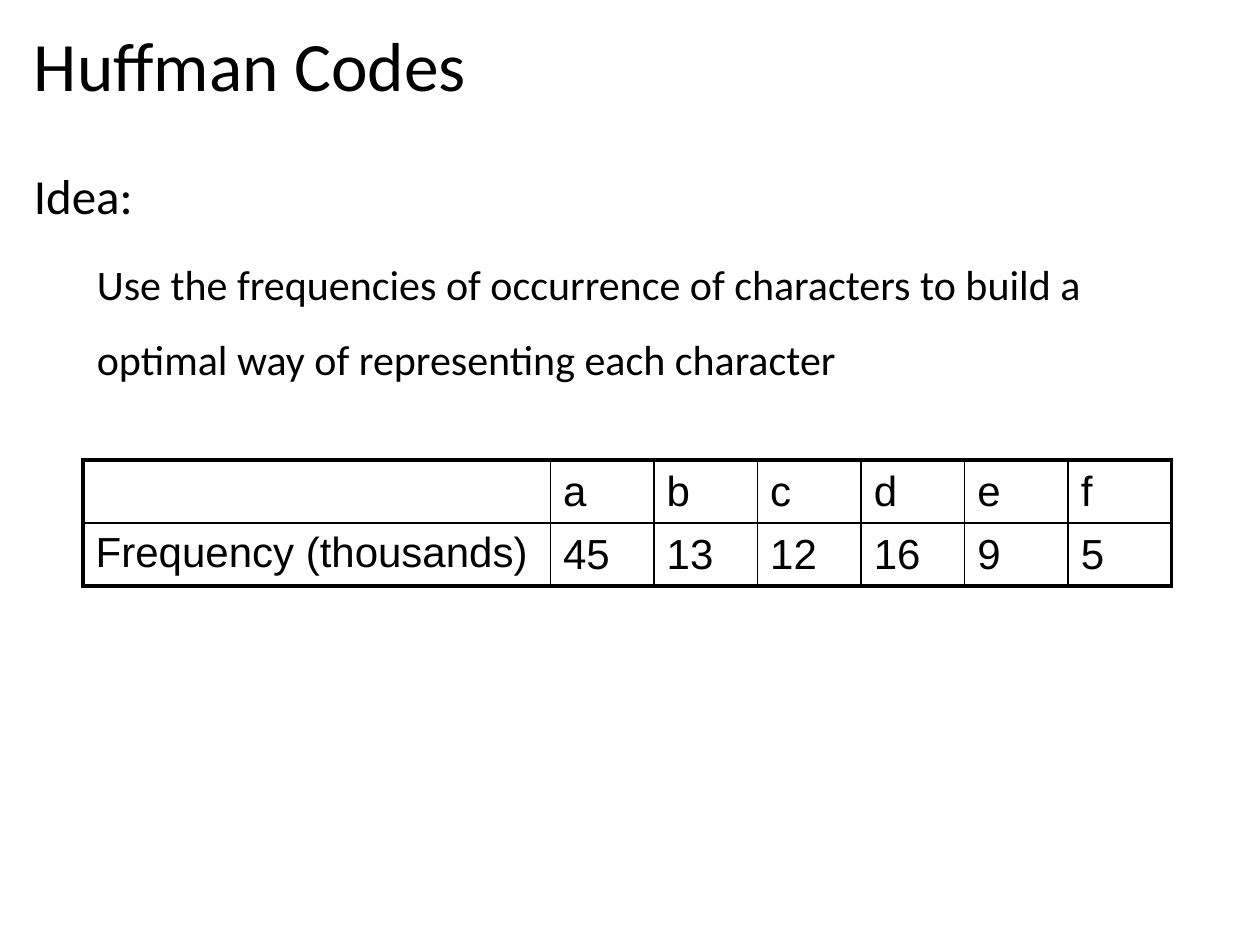
import dataclasses

import lxml.etree
import pptx
import pptx.dml.color
import pptx.enum.text
import pptx.oxml.ns
import pptx.util

Inches = pptx.util.Inches
Pt = pptx.util.Pt
Anchor = pptx.enum.text.MSO_ANCHOR


@dataclasses.dataclass(frozen=True)
class Theme:
    ink: str = "000000"
    paper: str = "FFFFFF"
    text_font: str = "Calibri"
    table_font: str = "Arial"
    title_size: float = 39.6
    lead_size: float = 28
    detail_size: float = 24
    inner_line: float = 1
    outer_line: float = 2.25


THEME = Theme()
FREQUENCIES = {"a": 45, "b": 13, "c": 12, "d": 16, "e": 9, "f": 5}


def write(para, text, *, size, font=THEME.text_font, color=THEME.ink,
          line_spacing=None, before=None, indent=None):
    """Put formatted text into a paragraph."""
    span = para.add_run()
    span.text = text
    span.font.size = Pt(size)
    span.font.name = font
    span.font.color.rgb = pptx.dml.color.RGBColor.from_string(color)
    if line_spacing is not None:
        para.line_spacing = line_spacing
    if before is not None:
        para.space_before = Pt(before)
    if indent is not None:
        properties = para._p.get_or_add_pPr()
        properties.set("marL", str(Inches(indent)))
        properties.set("indent", "0")


def add_text_frame(page, box, anchor):
    frame = page.shapes.add_textbox(*map(Inches, box)).text_frame
    frame.word_wrap = True
    frame.vertical_anchor = anchor
    return frame


def add_title(page, box):
    frame = add_text_frame(page, box, Anchor.MIDDLE)
    write(frame.paragraphs[0], "Huffman Codes", size=THEME.title_size, line_spacing=0.9)


def add_idea(page, box):
    frame = add_text_frame(page, box, Anchor.TOP)
    write(frame.paragraphs[0], "Idea:", size=THEME.lead_size, line_spacing=1.5, before=10)
    detail = frame.add_paragraph()
    detail.level = 1
    write(detail, "Use the frequencies of occurrence of characters to build a "
          "optimal way of representing each character",
          size=THEME.detail_size, line_spacing=1.5, before=5, indent=0.5)


def set_borders(cell, widths):
    """Draw the cell's left, right, top and bottom lines, widths in points."""
    properties = cell._tc.get_or_add_tcPr()
    qn = pptx.oxml.ns.qn
    for position, (side, width) in enumerate(zip("LRTB", widths)):
        line = lxml.etree.Element(qn(f"a:ln{side}"), w=str(Pt(width)))
        fill = lxml.etree.SubElement(line, qn("a:solidFill"))
        lxml.etree.SubElement(fill, qn("a:srgbClr"), val=THEME.ink)
        properties.insert(position, line)


def add_frequency_table(page, box):
    rows = [["", *FREQUENCIES], ["Frequency (thousands)", *map(str, FREQUENCIES.values())]]
    last_row, last_column = len(rows) - 1, len(rows[0]) - 1
    left, top, width, height = map(Inches, box)
    table = page.shapes.add_table(len(rows), len(rows[0]), left, top, width, height).table
    table.first_row = table.horz_banding = False

    # A wide label column, then equal columns for the characters
    label_width = Inches(3.71)
    for index, column in enumerate(table.columns):
        column.width = label_width if index == 0 else (width - label_width) // last_column

    # Thick lines around the table, thin lines inside
    for r, values in enumerate(rows):
        for c, value in enumerate(values):
            cell = table.cell(r, c)
            cell.fill.background()
            cell.vertical_anchor = Anchor.MIDDLE if c else Anchor.TOP
            if value:
                write(cell.text_frame.paragraphs[0], value,
                      size=THEME.detail_size, font=THEME.table_font)
            on_edge = (c == 0, c == last_column, r == 0, r == last_row)
            set_borders(cell, [THEME.outer_line if edge else THEME.inner_line
                               for edge in on_edge])


def main():
    deck = pptx.Presentation()
    deck.slide_width, deck.slide_height = Inches(10), Inches(7.5)
    page = deck.slides.add_slide(deck.slide_layouts[6])
    background = page.background.fill
    background.solid()
    background.fore_color.rgb = pptx.dml.color.RGBColor.from_string(THEME.paper)

    add_title(page, (0.17, 0.18, 9.62, 0.74))
    add_idea(page, (0.17, 1.03, 9.62, 5.73))
    add_frequency_table(page, (0.66, 3.65, 8.64, 0.94))
    deck.save("out.pptx")


if __name__ == "__main__":
    main()
